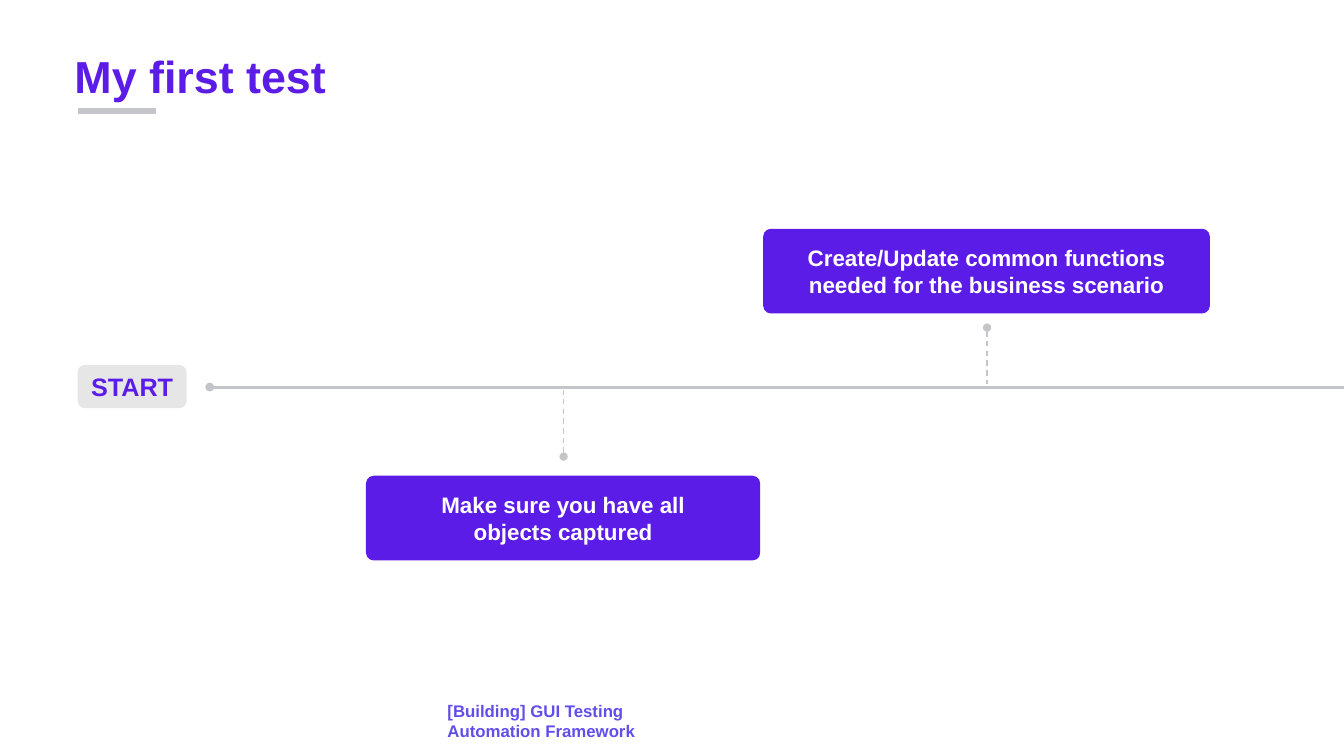
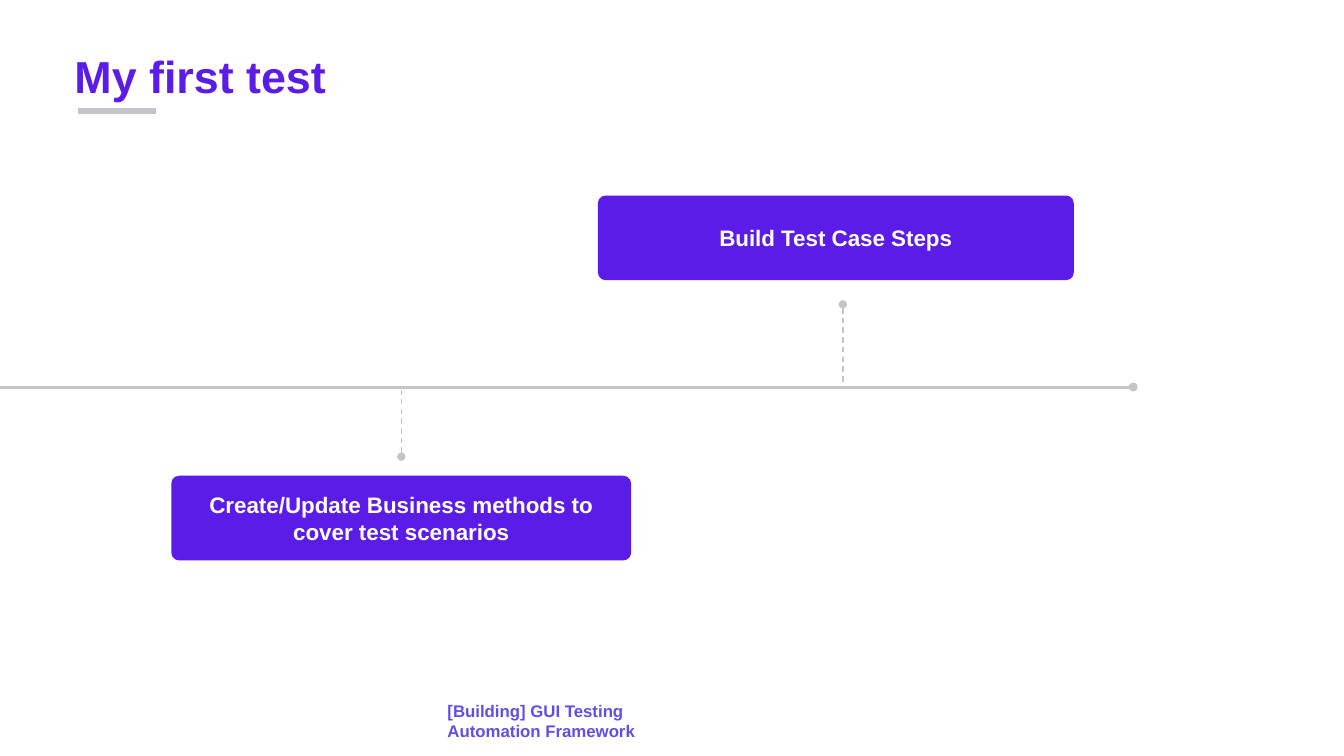
from dataclasses import dataclass

from lxml import etree
from pptx import Presentation
from pptx.dml.color import RGBColor
from pptx.enum import dml, shapes, text
from pptx.oxml import ns
from pptx.util import Inches, Pt


@dataclass(frozen=True)
class Theme:
    font: str = "Arial"
    main: str = "5C1CE8"
    foot: str = "614EEA"
    rule: str = "C3C5C8"
    tag: str = "E7E6E6"
    white: str = "FFFFFF"
    title_pt: int = 32
    tag_pt: int = 18
    card_pt: int = 16
    foot_pt: int = 12


T = Theme()
WIDTH, HEIGHT = 13.33, 7.5
AXIS = 3.84


def write(frame, words, size, color, align=text.PP_ALIGN.LEFT):
    frame.text = words
    para = frame.paragraphs[0]
    para.alignment = align
    font = para.runs[0].font
    font.name, font.size, font.bold = T.font, Pt(size), True
    font.color.rgb = RGBColor.from_string(color)


def label(slide, box, words, size, color):
    frame = slide.shapes.add_textbox(*map(Inches, box)).text_frame
    frame.word_wrap = True
    write(frame, words, size, color)


def line(slide, start, end, width, dot=True, dash=False):
    """Draw a grey line, with a dot at its start unless told otherwise."""
    link = slide.shapes.add_connector(
        shapes.MSO_CONNECTOR.STRAIGHT, *map(Inches, (*start, *end)))
    link.line.color.rgb = RGBColor.from_string(T.rule)
    link.line.width = Pt(width)
    if dash:
        link.line.dash_style = dml.MSO_LINE.DASH
    props = link._element.spPr
    if dot:
        head = etree.SubElement(props.find(ns.qn("a:ln")), ns.qn("a:headEnd"))
        head.set("type", "oval")
    etree.SubElement(props, ns.qn("a:effectLst"))


def panel(slide, box, fill, words, size, color, curve, inset):
    """Draw a rounded box with centred text."""
    shape = slide.shapes.add_shape(
        shapes.MSO_SHAPE.ROUNDED_RECTANGLE, *map(Inches, box))
    shape.adjustments[0] = curve
    shape.shadow.inherit = False
    shape.fill.solid()
    shape.fill.fore_color.rgb = RGBColor.from_string(fill)
    shape.line.fill.background()
    frame = shape.text_frame
    frame.word_wrap = True
    frame.margin_left = frame.margin_right = Inches(inset)
    frame.vertical_anchor = text.MSO_ANCHOR.MIDDLE
    write(frame, words, size, color, text.PP_ALIGN.CENTER)


def card(slide, box, words, stem, gap):
    """Draw a step and its dashed stem, which starts a gap away from the box."""
    left, top, width, height = box
    panel(slide, box, T.main, words, T.card_pt, T.white, 0.09, 0.34)
    above = top < AXIS
    start = top + height + gap if above else top - gap
    end = AXIS - 0.03 if above else AXIS + 0.03
    line(slide, (stem, start), (stem, end), 1, dash=True)


def tag(slide, box, words):
    panel(slide, box, T.tag, words, T.tag_pt, T.main, 0.17, 0.05)


def base(deck, title):
    """Add a slide with the shared title, title rule and footer."""
    slide = deck.slides.add_slide(deck.slide_layouts[6])
    label(slide, (4.34, 6.9, 2.14, 0.5),
          "[Building] GUI Testing Automation Framework", T.foot_pt, T.foot)
    label(slide, (0.64, 0.43, 8.21, 0.64), title, T.title_pt, T.main)
    line(slide, (0.77, 1.1), (1.55, 1.1), 4.5, dot=False)
    return slide


def steps(deck, title, start, end, cards):
    """Add a timeline slide whose axis has its dot at start."""
    slide = base(deck, title)
    line(slide, (start, AXIS), (end, AXIS), 2.1)
    for item in cards:
        card(slide, *item)
    return slide


def main():
    deck = Presentation()
    deck.slide_width, deck.slide_height = Inches(WIDTH), Inches(HEIGHT)
    title = "My first test"
    first = steps(deck, title, 2.08, WIDTH, [
        ((3.63, 4.72, 3.91, 0.84),
         "Make sure you have all objects captured", 5.59, 0.19),
        ((7.57, 2.27, 4.43, 0.84),
         "Create/Update common functions needed for the business scenario",
         9.79, 0.14),
    ])
    tag(first, (0.77, 3.62, 1.08, 0.43), "START")
    steps(deck, title, 11.24, 0, [
        ((1.7, 4.72, 4.56, 0.84),
         "Create/Update Business methods to cover test scenarios", 3.98, 0.19),
        ((5.93, 1.94, 4.72, 0.84), "Build Test Case Steps", 8.36, 0.24),
    ])
    deck.save("out.pptx")


if __name__ == "__main__":
    main()
